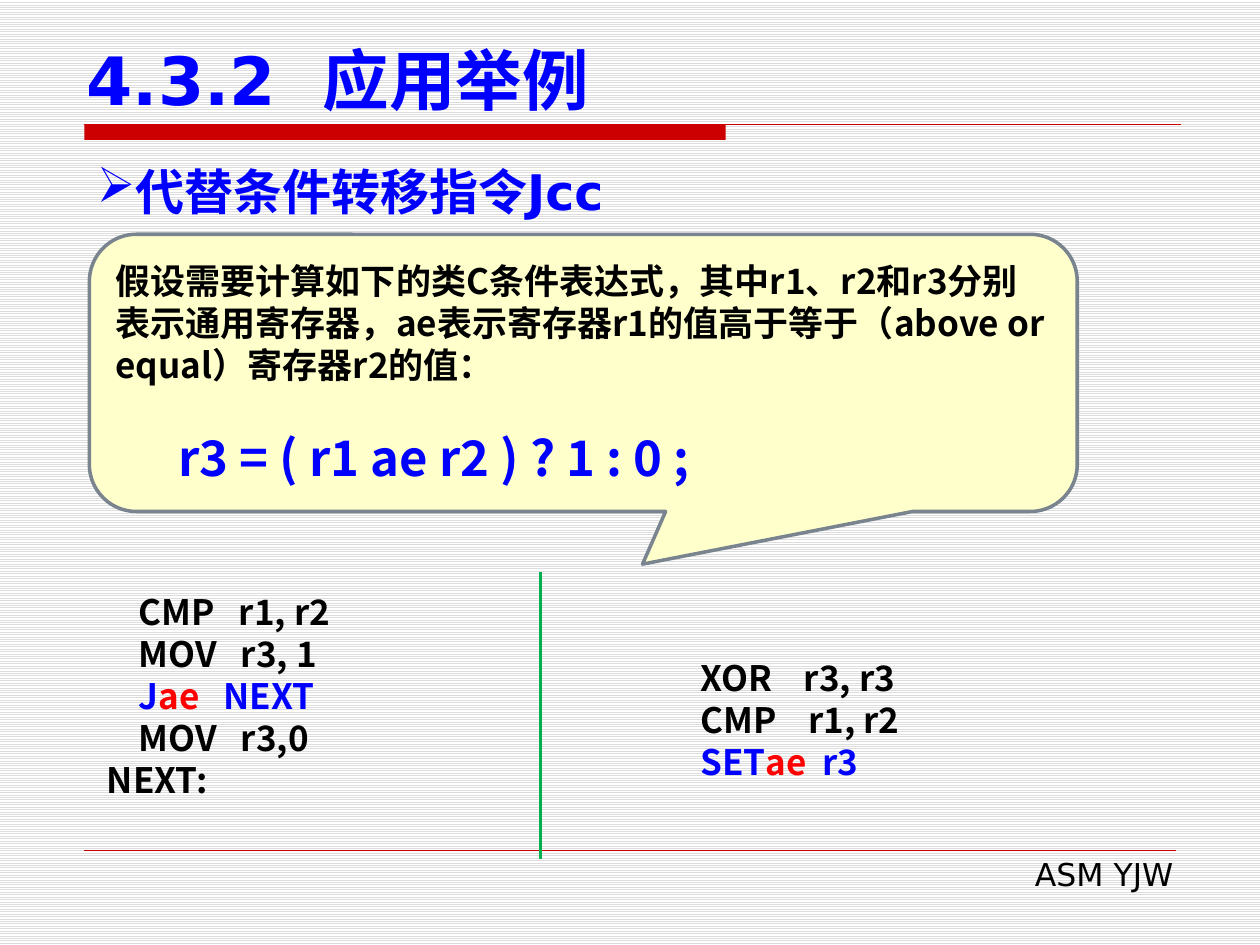
"""Build a slide comparing a conditional jump with SETcc in assembly."""
from pptx import Presentation, util as u
from pptx.dml.color import RGBColor
from pptx.enum import dml, shapes, text as t
from pptx.oxml.ns import qn
from lxml import etree

SANS, CJK = "DejaVu Sans", "Noto Sans CJK SC"
BLACK, BLUE, RED, CRIMSON = "000000", "0000FF", "FF0000", "CC0000"
rgb = RGBColor.from_string

prs = Presentation()
prs.slide_width, prs.slide_height = u.Inches(10), u.Inches(7.5)
COL, ROW = prs.slide_width / 100, prs.slide_height / 75
s = prs.slides.add_slide(prs.slide_layouts[6])


def grid(x, y, w, h):
    return round(x * COL), round(y * ROW), round(w * COL), round(h * ROW)


def text(sp, paras, size=20, font=CJK, bold=True, align=t.PP_ALIGN.LEFT,
         anchor=t.MSO_ANCHOR.TOP, leading=None, bullet=None):
    tf = sp.text_frame
    tf.word_wrap, tf.vertical_anchor = True, anchor
    for i, runs in enumerate(paras):
        p = tf.add_paragraph() if i else tf.paragraphs[0]
        p.alignment = align
        if leading:
            p.line_spacing = u.Pt(leading)
        if bullet:
            etree.SubElement(p._p.get_or_add_pPr(), qn("a:buChar"), char=bullet)
        for words, color in runs:
            r = p.add_run()
            r.text = words
            r.font.size, r.font.bold, r.font.name = u.Pt(size), bold, font
            r.font.color.rgb = rgb(color)
            etree.SubElement(r._r.get_or_add_rPr(), qn("a:ea"), typeface=CJK)
    return tf


fill = s.background.fill
fill.patterned()
fill.pattern = dml.MSO_PATTERN.LIGHT_HORIZONTAL
fill.fore_color.rgb, fill.back_color.rgb = rgb("DDDDDD"), rgb("FFFFFF")

bar = s.shapes.add_shape(shapes.MSO_SHAPE.RECTANGLE, *grid(6.7, 9.9, 50.9, 1.2))
bar.shadow.inherit = False
bar.fill.solid()
bar.fill.fore_color.rgb = rgb(CRIMSON)
bar.line.fill.background()

for ends, color, width in (
    ((6.7, 9.9, 93.7, 9.9), CRIMSON, 0.75),
    ((6.7, 67.5, 93.3, 67.5), CRIMSON, 0.25),
    ((42.9, 45.4, 42.9, 68.2), "00B050", 1.5),
):
    line = s.shapes.add_connector(shapes.MSO_CONNECTOR.STRAIGHT, *grid(*ends))
    line.line.color.rgb, line.line.width = rgb(color), u.Pt(width)
    etree.SubElement(line._element.spPr, qn("a:effectLst"))

callout = s.shapes.add_shape(
    shapes.MSO_SHAPE.ROUNDED_RECTANGULAR_CALLOUT, *grid(7.1, 18.6, 78.4, 22))
callout.shadow.inherit = False
for i, value in enumerate((0.06, 0.69, 0.17)):
    callout.adjustments[i] = value
callout.fill.solid()
callout.fill.fore_color.rgb = rgb("FFFFCC")
callout.line.color.rgb, callout.line.width = rgb("79848F"), u.Pt(2)
tf = text(callout, [
    [("假设需要计算如下的类C条件表达式，其中r1、r2和r3分别表示通用寄存器，"
      "ae表示寄存器r1的值高于等于（above or equal）寄存器r2的值：", BLACK)],
    [("r3 = ( r1 ae r2 ) ? 1 : 0 ;", BLUE)],
], anchor=t.MSO_ANCHOR.MIDDLE, leading=24)
p = tf.paragraphs[1]
p.space_before, p.line_spacing = u.Pt(24), u.Pt(34)
p.runs[0].font.size = u.Pt(28)
p._p.get_or_add_pPr().set("marL", str(round(5 * COL)))

jump_code = [
    [("    CMP   r1, r2", BLACK)],
    [("    MOV   r3, 1", BLACK)],
    [("    J", BLUE), ("ae   ", RED), ("NEXT", BLUE)],
    [("    MOV   r3,0", BLACK)],
    [("NEXT:", BLACK)],
]
set_code = [
    [("XOR    r3, r3", BLACK)],
    [("CMP    r1, r2", BLACK)],
    [("SET", BLUE), ("ae  ", RED), ("r3", BLUE)],
]
for box, paras, style in (
    ((5.9, 2.8, 90.6, 7.1), [[("4.3.2  应用举例", BLUE)]],
     dict(size=38, font=SANS, anchor=t.MSO_ANCHOR.BOTTOM)),
    ((6.7, 12.3, 86.6, 5.7), [[("代替条件转移指令Jcc", BLUE)]],
     dict(size=28, font=SANS, align=t.PP_ALIGN.JUSTIFY, bullet="➢")),
    ((7.5, 46.4, 38.7, 17.8), jump_code, dict(leading=24)),
    ((54.6, 51.6, 38.7, 11.1), set_code, dict(leading=24)),
    ((38.2, 67.4, 55.9, 4), [[("ASM YJW", BLACK)]],
     dict(size=18, font=SANS, bold=False, align=t.PP_ALIGN.RIGHT)),
):
    text(s.shapes.add_textbox(*grid(*box)), paras, **style)

prs.save("out.pptx")
